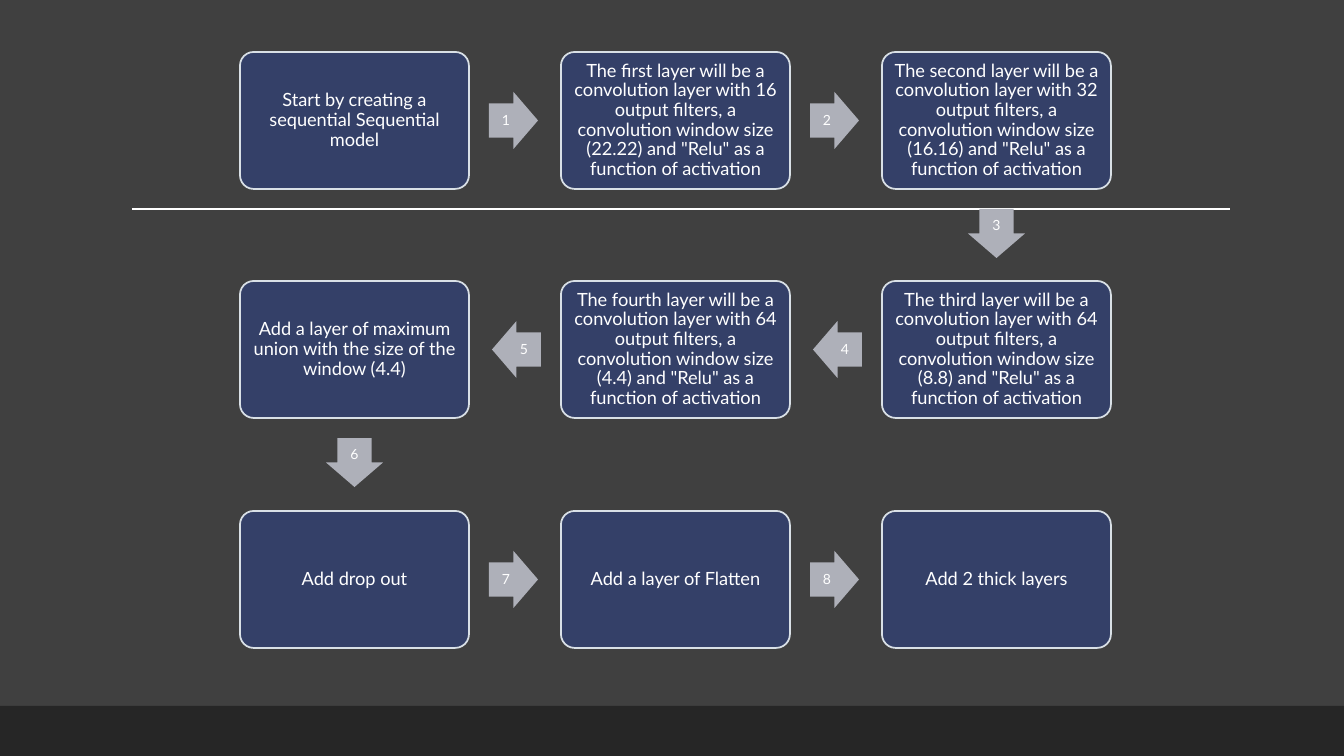
from lxml import etree
from pptx import Presentation
from pptx.dml.color import RGBColor
from pptx.enum.shapes import MSO_CONNECTOR, MSO_SHAPE
from pptx.enum.text import MSO_ANCHOR, PP_ALIGN
from pptx.oxml.ns import qn
from pptx.util import Pt

RECTANGLE = MSO_SHAPE.RECTANGLE
ROUNDED = MSO_SHAPE.ROUNDED_RECTANGLE
ARROW = MSO_SHAPE.RIGHT_ARROW
STRAIGHT = MSO_CONNECTOR.STRAIGHT
MIDDLE = MSO_ANCHOR.MIDDLE
CENTER = PP_ALIGN.CENTER

EMU_PER_PX = 914400 / 100.8
SLIDE_W, SLIDE_H = 1344, 756

# Grid of step boxes
BOX_W, BOX_H = 229, 137
COLUMNS = (240, 561, 882)
ROWS = (52, 281, 511)

# Arrows between consecutive boxes
ARROW_L, ARROW_W = 49, 57
ARROW_GAP = 20
LABEL_SIZE = 34

CONVOLUTION = (
    "The {} layer will be a convolution layer with {} output filters, "
    'a convolution window size ({}) and "Relu" as a function of activation'
)

# Column, row and wording of each step, in reading order of the flow
STEPS = [
    (0, 0, "Start by creating a sequential Sequential model"),
    (1, 0, CONVOLUTION.format("first", 16, "22.22")),
    (2, 0, CONVOLUTION.format("second", 32, "16.16")),
    (2, 1, CONVOLUTION.format("third", 64, "8.8")),
    (1, 1, CONVOLUTION.format("fourth", 64, "4.4")),
    (0, 1, "Add a layer of maximum union with the size of the window (4.4)"),
    (0, 2, "Add drop out"),
    (1, 2, "Add a layer of Flatten"),
    (2, 2, "Add 2 thick layers"),
]

# Rotation of an arrow for each direction of travel
ROTATIONS = {(1, 0): 0, (0, 1): 90, (-1, 0): 180}


def px(*lengths):
    return [round(length * EMU_PER_PX) for length in lengths]


def rgb(color):
    return RGBColor.from_string(color)


class FlowSlide:
    font = "Lato"
    white = "FFFFFF"
    backdrop = "404040"
    footer = "262626"
    box_fill = "344068"
    box_line = "D9E0E6"
    arrow_fill = "AEB0B9"

    def __init__(self, slide):
        self.slide = slide
        background = slide.background.fill
        background.solid()
        background.fore_color.rgb = rgb(self.backdrop)

    def shape(self, kind, left, top, width, height, fill):
        shape = self.slide.shapes.add_shape(kind, *px(left, top, width, height))
        shape.shadow.inherit = False
        shape.fill.solid()
        shape.fill.fore_color.rgb = rgb(fill)
        shape.line.fill.background()
        return shape

    def rule(self, left, right, y):
        rule = self.slide.shapes.add_connector(STRAIGHT, *px(left, y, right, y))
        rule.line.color.rgb = rgb(self.white)
        rule.line.width = Pt(1)
        etree.SubElement(rule._element.spPr, qn("a:effectLst"))

    def set_text(self, holder, text, size, inset):
        frame = holder.text_frame
        frame.word_wrap = True
        frame.vertical_anchor = MIDDLE
        (inset,) = px(inset)
        frame.margin_left = frame.margin_right = inset
        frame.margin_top = frame.margin_bottom = inset
        paragraph = frame.paragraphs[0]
        paragraph.text = text
        paragraph.alignment = CENTER
        paragraph.line_spacing = 0.9
        paragraph.font.name = self.font
        paragraph.font.size = Pt(size)
        paragraph.font.color.rgb = rgb(self.white)

    def box(self, column, row, text):
        box = self.shape(ROUNDED, COLUMNS[column], ROWS[row], BOX_W, BOX_H, self.box_fill)
        box.adjustments[0] = 0.1
        box.line.color.rgb = rgb(self.box_line)
        box.line.width = Pt(1.25)
        self.set_text(box, text, 13, 5)

    def arrow(self, column, row, direction, number):
        dx, dy = direction
        # Arrow centre lies just past the box edge it leaves from
        reach = ARROW_GAP + ARROW_L / 2
        x = COLUMNS[column] + BOX_W / 2 + dx * (BOX_W / 2 + reach)
        y = ROWS[row] + BOX_H / 2 + dy * (BOX_H / 2 + reach)
        arrow = self.shape(ARROW, x - ARROW_L / 2, y - ARROW_W / 2,
                           ARROW_L, ARROW_W, self.arrow_fill)
        arrow.adjustments[0] = 0.6
        arrow.adjustments[1] = 0.5
        arrow.rotation = ROTATIONS[direction]
        # The upright number sits at the tail end
        shift = (ARROW_L - LABEL_SIZE) / 2
        left = x - dx * shift - LABEL_SIZE / 2
        top = y - dy * shift - LABEL_SIZE / 2
        label = self.slide.shapes.add_textbox(*px(left, top, LABEL_SIZE, LABEL_SIZE))
        self.set_text(label, str(number), 10, 0)


def main():
    deck = Presentation()
    deck.slide_width, deck.slide_height = px(SLIDE_W, SLIDE_H)
    flow = FlowSlide(deck.slides.add_slide(deck.slide_layouts[6]))

    # Backdrop, rule and footer band
    flow.shape(RECTANGLE, 0, 0, SLIDE_W, SLIDE_H, flow.backdrop)
    flow.rule(132, 1230, 209)
    flow.shape(RECTANGLE, 0, 706, SLIDE_W, 50, flow.footer)

    # Steps, each followed by an arrow to the next one
    for number, (column, row, text) in enumerate(STEPS, 1):
        flow.box(column, row, text)
        if number < len(STEPS):
            next_column, next_row, _ = STEPS[number]
            flow.arrow(column, row, (next_column - column, next_row - row), number)

    deck.save("out.pptx")


if __name__ == "__main__":
    main()
